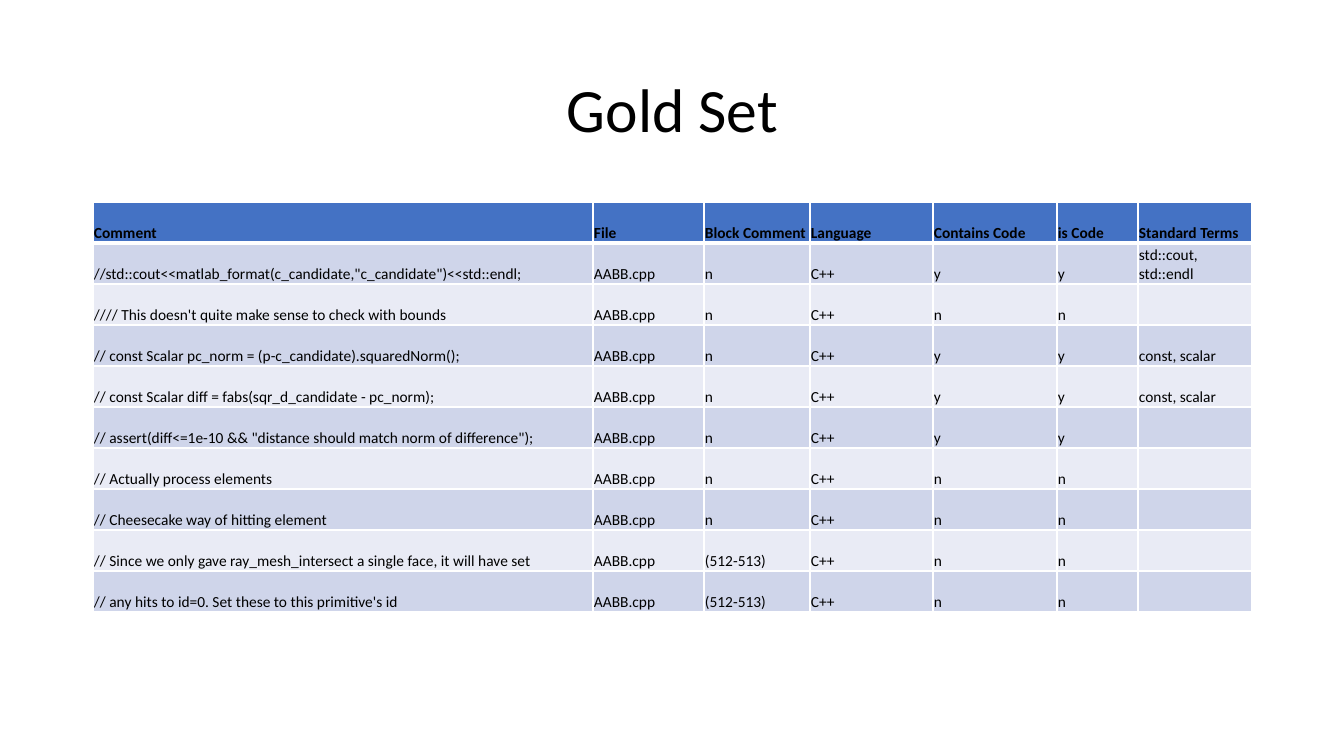
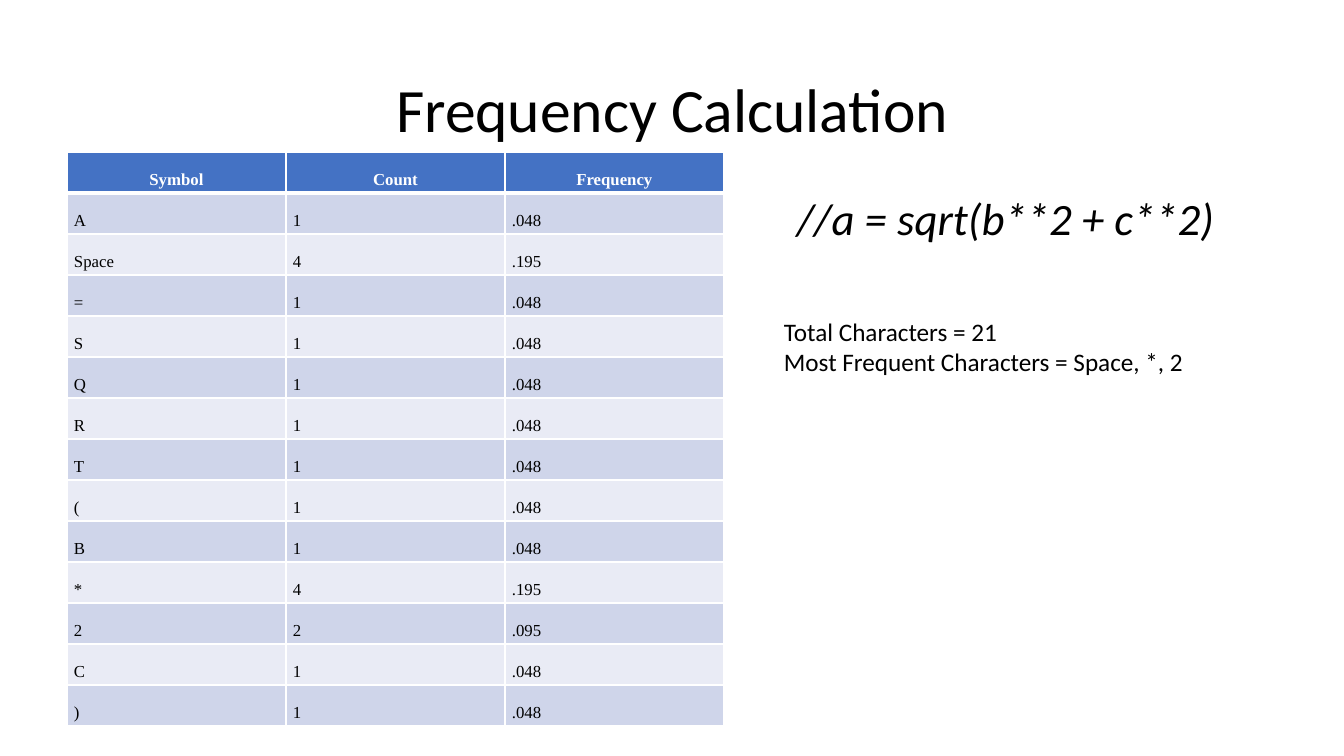
from dataclasses import dataclass, field
from typing import Any

from lxml.etree import SubElement
from pptx import Presentation
from pptx.dml.color import RGBColor
from pptx.enum.text import MSO_ANCHOR, MSO_AUTO_SIZE, PP_ALIGN
from pptx.oxml.ns import qn
from pptx.slide import Slide
from pptx.util import Emu, Pt

# Shared look
PIXEL = 914400 / 100.8
BLACK, WHITE = "000000", "FFFFFF"
HEADER_FILL = "4472C4"
BAND_FILLS = ("CFD5EA", "E9EBF5")
ROW_HEIGHT = 41
TITLE_BOX = (93, 40, 1159, 146)


def px(length: float) -> Emu:
    return Emu(round(length * PIXEL))


def rgb(color: str) -> RGBColor:
    return RGBColor.from_string(color)


@dataclass(frozen=True)
class TextStyle:
    size: float
    name: str = "Calibri"
    color: str = BLACK
    bold: bool = False
    italic: bool = False
    paragraph: dict[str, Any] = field(default_factory=dict)


@dataclass(frozen=True)
class TableSpec:
    left: int
    top: int
    columns: list[int]
    header: TextStyle
    body: TextStyle
    cell_format: dict[str, Any]
    rows: list[tuple[str, ...]]


@dataclass(frozen=True)
class Note:
    box: tuple[int, int, int, int]
    style: TextStyle
    lines: list[str]


TITLE_STYLE = TextStyle(44, paragraph={"alignment": PP_ALIGN.CENTER, "line_spacing": 0.9})


def set_attributes(target: Any, values: dict[str, Any]) -> None:
    for name, value in values.items():
        setattr(target, name, value)


def write_text(text_frame: Any, lines: list[str], style: TextStyle) -> None:
    for index, line in enumerate(lines):
        paragraph = text_frame.add_paragraph() if index else text_frame.paragraphs[0]
        set_attributes(paragraph, style.paragraph)
        font = paragraph.font
        if line:
            run = paragraph.add_run()
            run.text = line
            font = run.font
        set_attributes(font, {"size": Pt(style.size), "name": style.name,
                              "bold": style.bold, "italic": style.italic})
        font.color.rgb = rgb(style.color)


def draw_borders(cell: Any, bottom_width: float) -> None:
    properties = cell._tc.get_or_add_tcPr()
    widths = {"a:lnL": 1, "a:lnR": 1, "a:lnT": 1, "a:lnB": bottom_width}
    for tag, width in widths.items():
        line = SubElement(properties, qn(tag), w=str(Pt(width)))
        fill = SubElement(line, qn("a:solidFill"))
        SubElement(fill, qn("a:srgbClr"), val=WHITE)


def add_title(slide: Slide, text: str) -> None:
    title = slide.shapes.title
    set_attributes(title, dict(zip(("left", "top", "width", "height"), map(px, TITLE_BOX))))
    title.text_frame.vertical_anchor = MSO_ANCHOR.MIDDLE
    write_text(title.text_frame, [text], TITLE_STYLE)


def add_banded_table(slide: Slide, spec: TableSpec) -> None:
    frame = slide.shapes.add_table(
        len(spec.rows), len(spec.columns), px(spec.left), px(spec.top),
        px(sum(spec.columns)), px(ROW_HEIGHT * len(spec.rows)))
    table = frame.table
    for column, width in zip(table.columns, spec.columns):
        column.width = px(width)
    for row_index, texts in enumerate(spec.rows):
        is_header = row_index == 0
        table.rows[row_index].height = px(ROW_HEIGHT)
        for column_index, text in enumerate(texts):
            cell = table.cell(row_index, column_index)
            set_attributes(cell, spec.cell_format)
            # The rule under the header is shared with the first body row
            draw_borders(cell, 3 if is_header else 1)
            cell.fill.solid()
            fill = HEADER_FILL if is_header else BAND_FILLS[(row_index - 1) % 2]
            cell.fill.fore_color.rgb = rgb(fill)
            write_text(cell.text_frame, [text], spec.header if is_header else spec.body)


def add_note(slide: Slide, note: Note) -> None:
    text_frame = slide.shapes.add_textbox(*map(px, note.box)).text_frame
    set_attributes(text_frame, {"word_wrap": True,
                                "auto_size": MSO_AUTO_SIZE.SHAPE_TO_FIT_TEXT})
    write_text(text_frame, note.lines, note.style)


# Gold set: comment, block lines, code flag, standard terms
COMMENTS = [
    ('//std::cout<<matlab_format(c_candidate,"c_candidate")<<std::endl;', "n", "y",
     "std::cout, std::endl"),
    ("//// This doesn't quite make sense to check with bounds", "n", "n", ""),
    ("// const Scalar pc_norm = (p-c_candidate).squaredNorm();", "n", "y", "const, scalar"),
    ("// const Scalar diff = fabs(sqr_d_candidate - pc_norm);", "n", "y", "const, scalar"),
    ('// assert(diff<=1e-10 && "distance should match norm of difference");', "n", "y", ""),
    ("// Actually process elements", "n", "n", ""),
    ("// Cheesecake way of hitting element", "n", "n", ""),
    ("// Since we only gave ray_mesh_intersect a single face, it will have set",
     "(512-513)", "n", ""),
    ("// any hits to id=0. Set these to this primitive's id", "(512-513)", "n", ""),
]
GOLD_SET = TableSpec(
    left=93, top=202, columns=[500, 111, 106, 123, 124, 81, 114],
    header=TextStyle(11, bold=True), body=TextStyle(11),
    cell_format={"margin_left": px(1), "margin_top": px(1), "margin_right": px(1),
                 "margin_bottom": 0, "vertical_anchor": MSO_ANCHOR.BOTTOM},
    rows=[("Comment", "File", "Block Comment", "Language", "Contains Code", "is Code",
           "Standard Terms")]
    + [(comment, "AABB.cpp", block, "C++", code, code, terms)
       for comment, block, code, terms in COMMENTS])

# Frequency calculation: symbol counts and the frequency of each count
SYMBOL_COUNTS = {"A": 1, "Space": 4, "=": 1, "S": 1, "Q": 1, "R": 1, "T": 1,
                 "(": 1, "B": 1, "*": 4, "2": 2, "C": 1, ")": 1}
FREQUENCIES = {1: ".048", 2: ".095", 4: ".195"}
SERIF = "Times New Roman"
FREQUENCY_TABLE = TableSpec(
    left=67, top=152, columns=[219] * 3,
    header=TextStyle(12, SERIF, WHITE, bold=True,
                     paragraph={"alignment": PP_ALIGN.CENTER, "line_spacing": 2.0}),
    body=TextStyle(12, SERIF, paragraph={"line_spacing": 2.0}),
    cell_format={"margin_left": px(7), "margin_top": 0, "margin_right": px(7),
                 "margin_bottom": 0},
    rows=[("Symbol", "Count", "Frequency")]
    + [(symbol, str(count), FREQUENCIES[count]) for symbol, count in SYMBOL_COUNTS.items()])
FREQUENCY_NOTES = [
    Note((787, 186, 521, 65), TextStyle(32, italic=True), ["//a = sqrt(b**2 + c**2)"]),
    Note((774, 311, 487, 72), TextStyle(18),
         ["Total Characters = 21", "Most Frequent Characters = Space, *, 2"]),
]

# Build the slides
SLIDES = [("Gold Set", GOLD_SET, []),
          ("Frequency Calculation", FREQUENCY_TABLE, FREQUENCY_NOTES)]

presentation = Presentation()
presentation.slide_width, presentation.slide_height = px(1344), px(756)
title_only = presentation.slide_layouts[5]
for heading, table_spec, notes in SLIDES:
    slide = presentation.slides.add_slide(title_only)
    add_title(slide, heading)
    add_banded_table(slide, table_spec)
    for note in notes:
        add_note(slide, note)
presentation.save("out.pptx")
